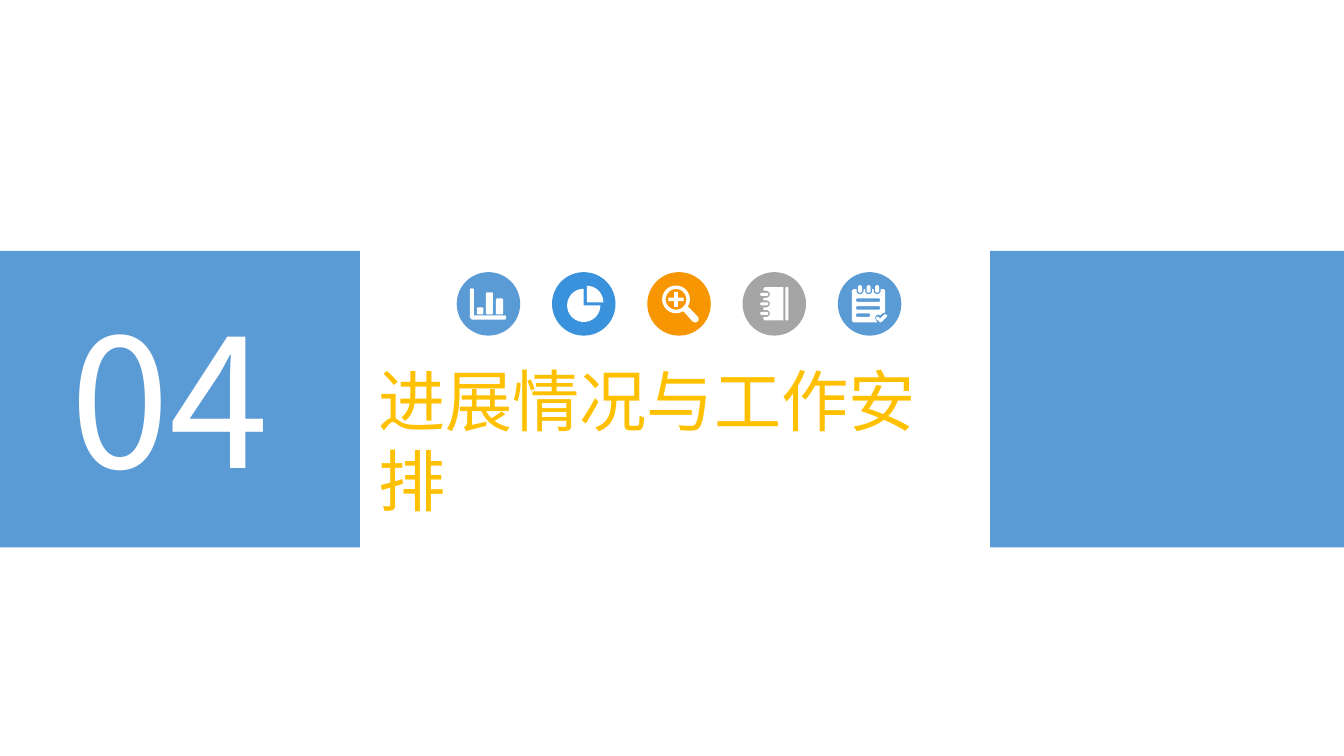
from math import cos, radians, sin

from lxml import etree
from pptx import Presentation
from pptx.dml.color import RGBColor
from pptx.enum.shapes import MSO_SHAPE
from pptx.enum.text import MSO_ANCHOR, MSO_AUTO_SIZE, PP_ALIGN
from pptx.oxml.ns import qn
from pptx.util import Inches, Pt

RECTANGLE, OVAL = MSO_SHAPE.RECTANGLE, MSO_SHAPE.OVAL
TOP, LEFT = MSO_ANCHOR.TOP, PP_ALIGN.LEFT
GROW = MSO_AUTO_SIZE.SHAPE_TO_FIT_TEXT

# Content
FONT = "Noto Sans CJK SC"
COLORS = {"blue": "5B9BD5", "bright": "3992DB", "orange": "F79600",
          "gray": "A5A5A5", "gold": "FFC000", "white": "FFFFFF"}
NUMBER = {"text": "04", "box": (0.6, 2.82, 2.28, 2.25), "size": 128, "color": "white"}
HEADING = {"text": "进展情况与工作安排", "box": (3.65, 3.51, 6.2, 0.91),
           "size": 48, "color": "gold"}
BAND_LEFTS, BAND_TOP, BAND_WIDTH, BAND_HEIGHT = (0, 9.82), 2.49, 3.57, 2.94
ICON_LEFT, ICON_TOP, ICON_SIZE, ICON_STEP = 4.53, 2.7, 0.63, 0.945


# Icon outlines, in hundredths of an inch from the corner of the icon's circle
def arc(x, y, radius, start, end):
    steps = max(6, round(abs(end - start) / 10))
    angles = [radians(start + (end - start) * i / steps) for i in range(steps + 1)]
    return [(x + radius * cos(a), y + radius * sin(a)) for a in angles]


def rounded(left, top, width, height, radius):
    right, bottom = left + width - radius, top + height - radius
    left, top = left + radius, top + radius
    corners = [(left, top, 180), (right, top, 270), (right, bottom, 0), (left, bottom, 90)]
    return [point for x, y, start in corners
            for point in arc(x, y, radius, start, start + 90)]


def bar_chart():
    axes = [(13, 17), (14, 16), (16, 16), (17, 17), (17, 43), (48, 43), (49, 44),
            (49, 46), (48, 47), (15, 47), (13, 45)]
    bars = [(20, 35, 6.5), (29, 20, 7), (39, 26, 7)]
    return [axes] + [rounded(x, y, width, 42 - y, 1.5) for x, y, width in bars]


def pie_chart():
    return [[(34.5, 30)] + arc(34.5, 30, 16.5, -90, 0),
            [(31.5, 33)] + arc(31.5, 33, 16.5, 0, 270)]


def magnifier():
    x, y, arm, half = 28.5, 27, 7.5, 1.75
    handle = [(50, 44), (51, 46), (50.5, 48.5), (48, 50), (45, 49)]
    plus = [(-arm, -half), (-half, -half), (-half, -arm), (half, -arm),
            (half, -half), (arm, -half), (arm, half), (half, half),
            (half, arm), (-half, arm), (-half, half), (-arm, half)]
    return [arc(x, y, 13.75, 58, 391) + handle, arc(x, y, 10.25, 0, 360),
            [(x + dx, y + dy) for dx, dy in plus]]


def notebook():
    cover = [(40.5, 15), (40.5, 48), (22, 48), (20.5, 46.5)]
    rings = []
    for y in (41, 31.5, 22):
        cover += [(20.5, y + 3.5)] + arc(23.5, y, 3.5, 90, -90) + [(20.5, y - 3.5)]
        rings.append(rounded(17.5, y - 1.5, 8, 3, 1.5))
    cover += [(20.5, 16.5), (22, 15)]
    return [cover, rounded(42.5, 15, 3, 33, 1)] + rings


def notepad():
    sheet, pins = [(14, 18.5), (15.5, 17)], []
    for x in (22, 30.5, 39):
        sheet += [(x - 3.5, 17)] + arc(x, 18.5, 3.5, 180, 0) + [(x + 3.5, 17)]
        pins.append(rounded(x - 2, 13, 4, 7.5, 2))
    sheet += [(45.5, 17), (47, 18.5), (47, 40), (44, 41), (42, 43), (40, 42),
              (37.5, 43.5), (37, 46), (39, 50), (15.5, 50), (14, 48.5)]
    check = [(48, 45), (44, 49), (42, 50), (41, 49), (38, 46.5), (38, 45),
             (40, 44), (42, 46), (46, 42), (48, 42), (49, 43)]
    lines = [rounded(18, y, width, 3.5, 1.5) for y, width in [(26, 24), (33.75, 24), (41, 14)]]
    return [sheet, check] + pins + lines


ICONS = [("blue", bar_chart), ("bright", pie_chart), ("orange", magnifier),
         ("gray", notebook), ("blue", notepad)]


def color(name):
    return RGBColor.from_string(COLORS[name])


def paint(shape, name):
    shape.fill.solid()
    shape.fill.fore_color.rgb = color(name)
    shape.line.fill.background()
    shape.shadow.inherit = False


def add_block(slide, kind, box, name):
    paint(slide.shapes.add_shape(kind, *map(Inches, box)), name)


def add_icon(slide, contours, left, top):
    def place(points):
        return [(Inches(left + x / 100), Inches(top + y / 100)) for x, y in points]

    first, *others = map(place, contours)
    builder = slide.shapes.build_freeform(*first[0])
    builder.add_line_segments(first[1:], close=True)
    for points in others:
        builder.move_to(*points[0])
        builder.add_line_segments(points[1:], close=True)
    paint(builder.convert_to_shape(), "white")


def write_text(shape, content):
    shape.left, shape.top, shape.width, shape.height = map(Inches, content["box"])
    frame = shape.text_frame
    frame_format = {"word_wrap": False, "auto_size": GROW, "vertical_anchor": TOP}
    for key, value in frame_format.items():
        setattr(frame, key, value)
    paragraph = frame.paragraphs[0]
    paragraph.alignment = LEFT
    run = paragraph.add_run()
    run.text = content["text"]
    for key, value in {"name": FONT, "size": Pt(content["size"])}.items():
        setattr(run.font, key, value)
    run.font.color.rgb = color(content["color"])
    etree.SubElement(run._r.get_or_add_rPr(), qn("a:ea"), typeface=FONT)


def main():
    presentation = Presentation()
    presentation.slide_width, presentation.slide_height = Inches(13.33), Inches(7.5)
    slide = presentation.slides.add_slide(presentation.slide_layouts[5])

    # Side bands with the section number and heading
    for left in BAND_LEFTS:
        add_block(slide, RECTANGLE, (left, BAND_TOP, BAND_WIDTH, BAND_HEIGHT), "blue")
    write_text(slide.shapes.add_textbox(0, 0, 0, 0), NUMBER)
    write_text(slide.shapes.title, HEADING)

    # Row of round icons
    for index, (name, outline) in enumerate(ICONS):
        left = ICON_LEFT + index * ICON_STEP
        add_block(slide, OVAL, (left, ICON_TOP, ICON_SIZE, ICON_SIZE), name)
        add_icon(slide, outline(), left, ICON_TOP)

    presentation.save("out.pptx")


if __name__ == "__main__":
    main()
